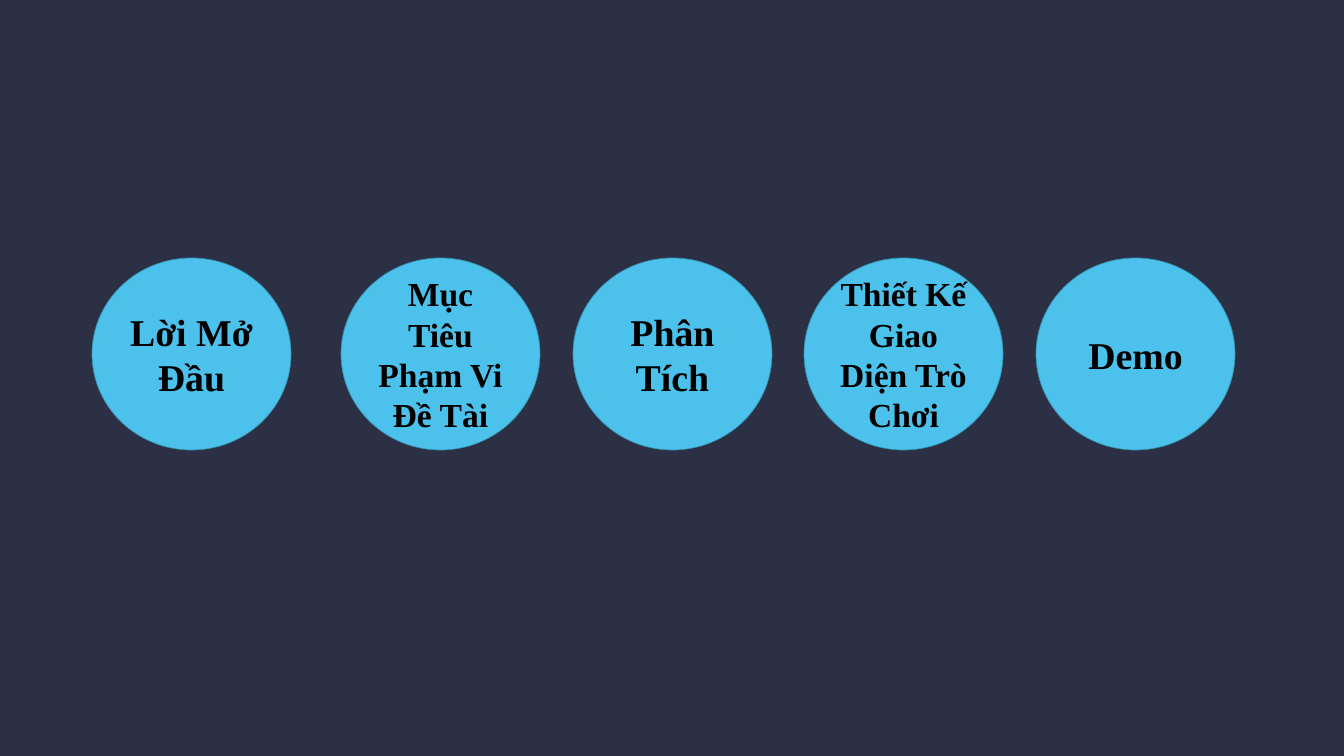
from pptx import Presentation
from pptx.dml.color import RGBColor
from pptx.enum.shapes import MSO_SHAPE
from pptx.enum.text import MSO_ANCHOR, PP_ALIGN
from pptx.util import Pt

SCALE = 914400 / 50.4


def px(pixels):
    """Turn pixels into EMU."""
    return round(pixels * SCALE)


def color(hex_string):
    """Turn a hex string into a colour."""
    return RGBColor.from_string(hex_string)


presentation = Presentation()
presentation.slide_width = px(1344)
presentation.slide_height = px(756)
slide = presentation.slides.add_slide(presentation.slide_layouts[6])
slide.background.fill.solid()
slide.background.fill.fore_color.rgb = color("2B3045")

# Left edge, text and font size of each agenda topic
topics = [
    (92, "Lời Mở Đầu", 54),
    (341, "Mục Tiêu Phạm Vi Đề Tài", 48),
    (573, "Phân Tích", 54),
    (804, "Thiết Kế Giao Diện Trò Chơi", 48),
    (1036, "Demo", 54),
]

for left, text, size in topics:
    circle = slide.shapes.add_shape(MSO_SHAPE.OVAL, px(left), px(258), px(199), px(192))
    circle.shadow.inherit = False
    circle.fill.solid()
    circle.fill.fore_color.rgb = color("4BC1EB")
    circle.line.color.rgb = color("378FAE")
    circle.line.width = Pt(1)

    frame = circle.text_frame
    frame.word_wrap = True
    frame.vertical_anchor = MSO_ANCHOR.MIDDLE
    paragraph = frame.paragraphs[0]
    paragraph.text = text
    paragraph.alignment = PP_ALIGN.CENTER
    paragraph.font.name = "Times New Roman"
    paragraph.font.size = Pt(size)
    paragraph.font.bold = True
    paragraph.font.color.rgb = color("000000")

presentation.save("out.pptx")
